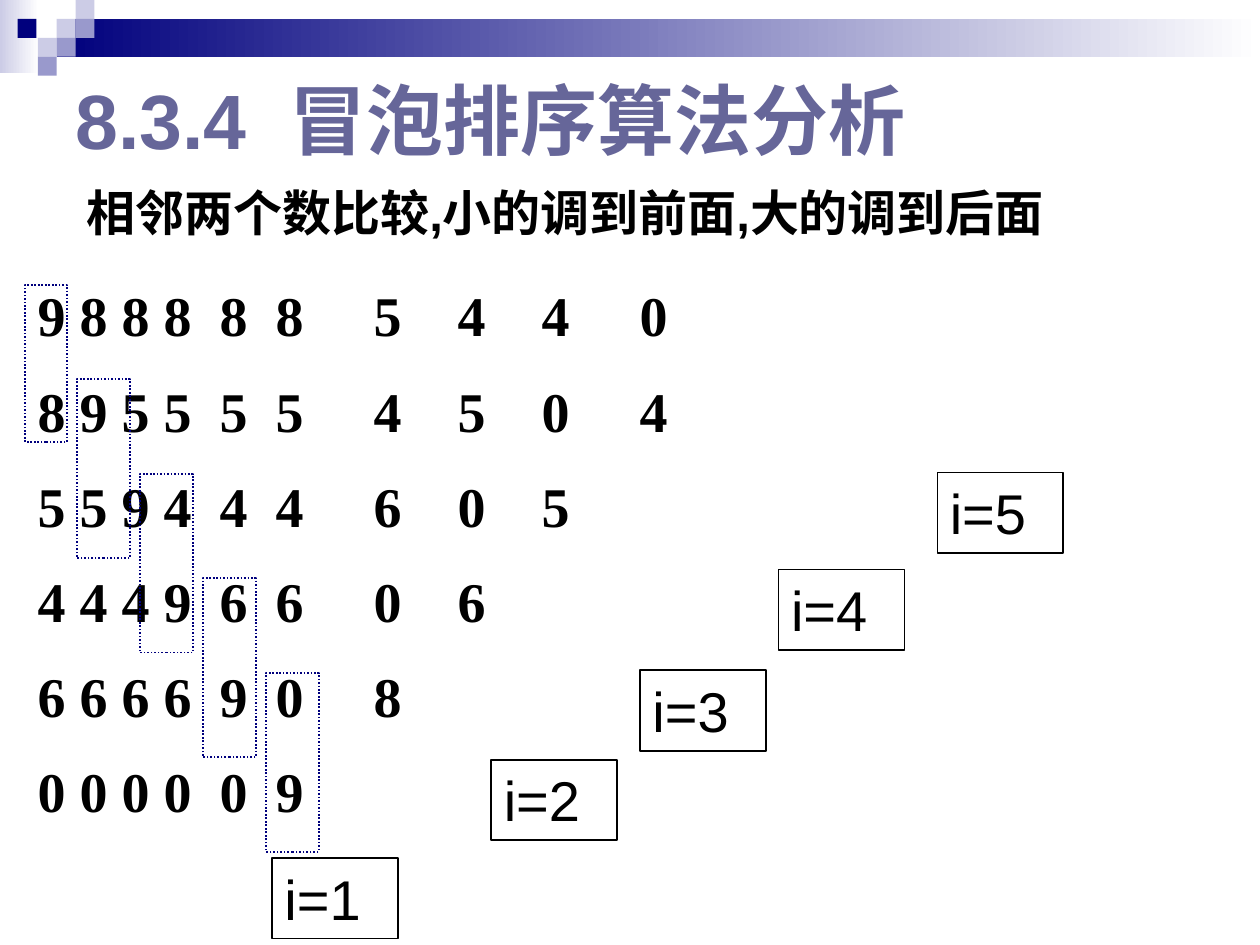
from lxml.etree import SubElement
from pptx import Presentation
from pptx.dml.color import RGBColor
from pptx.enum.dml import MSO_LINE
from pptx.enum.shapes import MSO_SHAPE
from pptx.enum.text import MSO_ANCHOR, PP_ALIGN
from pptx.oxml.ns import qn
from pptx.util import Inches, Pt

COLORS = {"navy": "00007D", "pale": "CCCCE6", "mid": "9999CC",
          "white": "FFFFFF", "black": "000000", "title": "666699"}

# One text row per line of the box, one column per digit
ROWS = ["9888885440", "8955554504", "559444605", "44496606", "6666908", "000009"]
# Spaces between neighbouring columns; a space is 8 pt, a digit 16 pt
GAPS = [1, 1, 1, 2, 2, 5, 4, 4, 5]


def color(name):
    return RGBColor.from_string(COLORS[name])


def add_rect(s, box, fill=None, fade=None):
    sp = s.shapes.add_shape(MSO_SHAPE.RECTANGLE, *map(Inches, box))
    sp.shadow.inherit = False
    sp.line.fill.background()
    if fade:
        sp.fill.gradient()
        sp.fill.gradient_angle = 0
        for stop, name, position in zip(sp.fill.gradient_stops, (fill, fade), (0, 1)):
            stop.color.rgb = color(name)
            stop.position = position
    elif fill:
        sp.fill.solid()
        sp.fill.fore_color.rgb = color(fill)
    else:
        sp.fill.background()
    return sp


def style(p, size, name="Arial", ink="black", bold=False):
    p.font.size, p.font.name, p.font.bold = Pt(size), name, bold
    p.font.color.rgb = color(ink)


def space_before(p, percent):
    spacing = SubElement(p._p.get_or_add_pPr(), qn("a:spcBef"))
    SubElement(spacing, qn("a:spcPct")).set("val", str(percent * 1000))


def add_text(s, box, lines):
    sp = s.shapes.add_textbox(*map(Inches, box))
    tf = sp.text_frame
    tf.word_wrap = True
    tf.text = "\n".join(lines)
    return sp


def add_banner(s, left, top):
    """Gradient bar with the mosaic of small squares."""
    add_rect(s, (left, top, 0.31, 0.58), "pale", "white")
    add_rect(s, (left + 0.45, top + 0.15, 9.55, 0.3), "navy", "white")
    tile = 0.15
    for col, row, fill in [(3, 1, "pale"), (4, 0, "pale"), (4, 1, "mid"), (2, 2, "pale"),
                           (0.93, 1, "navy"), (3, 2, "mid"), (2, 3, "mid")]:
        add_rect(s, (left + col * tile, top + row * tile, tile, tile), fill)


def set_title(s, box, text):
    sp = s.shapes.title
    sp.left, sp.top, sp.width, sp.height = map(Inches, box)
    tf = sp.text_frame
    tf.text = text
    tf.vertical_anchor = MSO_ANCHOR.MIDDLE
    p = tf.paragraphs[0]
    p.alignment = PP_ALIGN.LEFT
    style(p, 44, ink="title", bold=True)


def add_rule(s, box, text):
    p = add_text(s, box, [text]).text_frame.paragraphs[0]
    style(p, 28, bold=True)
    pPr = p._p.get_or_add_pPr()
    pPr.set("marL", str(Inches(0.38)))
    pPr.set("indent", str(Inches(-0.38)))
    space_before(p, 20)


def add_digits(s, box):
    """Sorting steps, with columns set by tab stops."""
    sp = add_text(s, box, ["\t".join(row) for row in ROWS])
    for p in sp.text_frame.paragraphs:
        style(p, 32, "Times New Roman", bold=True)
        space_before(p, 50)
        tabs = SubElement(p._p.get_or_add_pPr(), qn("a:tabLst"))
        x = 0
        for gap in GAPS:
            x += 16 + 8 * gap
            tab = SubElement(tabs, qn("a:tab"))
            tab.set("pos", str(Pt(x)))
            tab.set("algn", "l")


def add_compare_frames(s):
    """Dotted frames around each compared pair."""
    frames = [(0.2, 2.26, 0.33, 1.25)]
    frames += [(0.61 + 0.5 * i, top, 0.42, 1.42)
               for i, top in enumerate([3.01, 3.76, 4.59, 5.34])]
    for box in frames:
        sp = add_rect(s, box)
        sp.line.color.rgb = color("navy")
        sp.line.width = Pt(1)
        sp.line.dash_style = MSO_LINE.ROUND_DOT


def add_pass_labels(s):
    places = [(2.16, 6.81), (3.9, 6.03), (5.08, 5.32), (6.18, 4.52), (7.44, 3.75)]
    for i, (left, top) in enumerate(places, 1):
        sp = add_text(s, (left, top, 1, 0.64), [f"i={i}"])
        sp.line.color.rgb = color("black")
        sp.line.width = Pt(1)
        p = sp.text_frame.paragraphs[0]
        style(p, 32)
        space_before(p, 50)


def main():
    prs = Presentation()
    prs.slide_width, prs.slide_height = Inches(10), Inches(7.5)
    s = prs.slides.add_slide(prs.slide_layouts[5])
    add_banner(s, 0, 0)
    set_title(s, (0.5, 0.5, 9, 0.89), "8.3.4  冒泡排序算法分析")
    add_rule(s, (0.59, 1.4, 7.89, 0.62), "相邻两个数比较,小的调到前面,大的调到后面")
    add_digits(s, (0.2, 2.18, 9.8, 4.68))
    add_compare_frames(s)
    add_pass_labels(s)
    prs.save("out.pptx")


if __name__ == "__main__":
    main()
